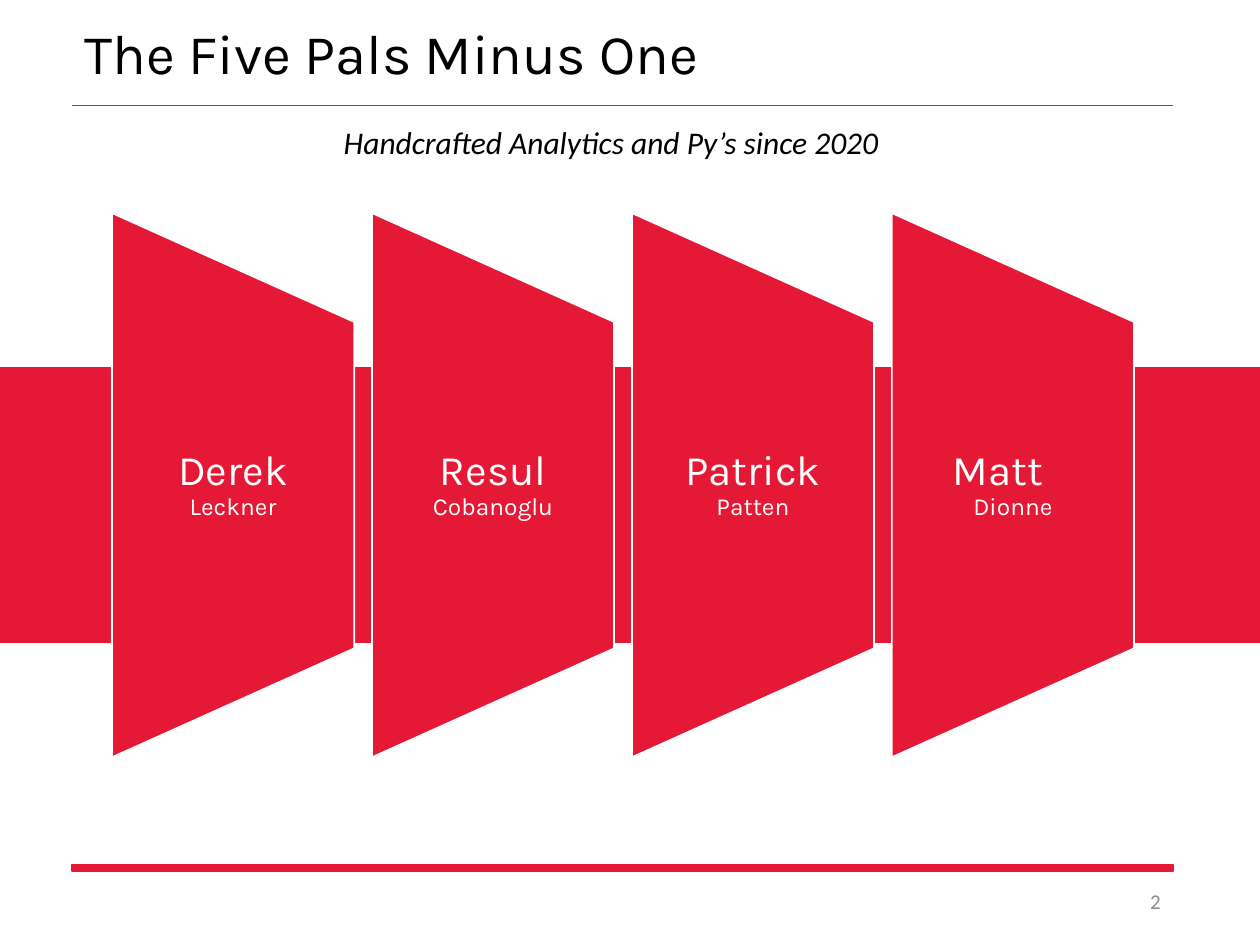
from dataclasses import dataclass
from typing import Optional

from lxml.etree import SubElement
from pptx import Presentation
from pptx.dml.color import RGBColor
from pptx.enum.shapes import MSO_CONNECTOR, MSO_SHAPE
from pptx.enum.text import MSO_ANCHOR as Anchor, MSO_AUTO_SIZE as AutoSize, PP_ALIGN as Align
from pptx.oxml.ns import qn
from pptx.util import Cm, Pt


@dataclass(frozen=True)
class Theme:
    red: RGBColor = RGBColor(0xE5, 0x18, 0x36)
    white: RGBColor = RGBColor(0xFF, 0xFF, 0xFF)
    black: RGBColor = RGBColor(0x00, 0x00, 0x00)
    grey: RGBColor = RGBColor(0x8C, 0x8C, 0x8C)
    heading_font: str = "Karla"
    body_font: str = "Calibri"
    title_size: int = 32
    first_name_size: int = 24
    tagline_size: int = 18
    last_name_size: int = 14
    number_size: int = 12


@dataclass(frozen=True)
class Box:
    """A rectangle in centimetres."""
    left: float
    top: float
    width: float
    height: float

    def lengths(self) -> tuple:
        return Cm(self.left), Cm(self.top), Cm(self.width), Cm(self.height)


@dataclass(frozen=True)
class Member:
    first_name: str
    last_name: str
    stagger: float = 0  # extra indent of the last name, in centimetres


THEME = Theme()
MEMBERS = [
    Member("Derek", "Leckner"),
    Member("Resul", "Cobanoglu"),
    Member("Patrick", "Patten"),
    Member("Matt", "Dionne", stagger=0.6),
]
PANEL_LEFT, PANEL_PITCH = 2.26, 5.24
PANEL_WIDTH, PANEL_HEIGHT = 4.88, 10.97
PANEL_MIDDLE = 9.78
NAME_HEIGHT, NAME_INSET = 6.58, 0.43
RULE_LEFT, RULE_RIGHT = 1.45, 23.65


def add_run(paragraph, text: str, size: int, color: RGBColor, font: str, italic: bool = False) -> None:
    run = paragraph.add_run()
    run.text = text
    run.font.size = Pt(size)
    run.font.color.rgb = color
    run.font.name = font
    run.font.italic = italic


def add_filled_shape(slide, kind, box: Box, line: Optional[RGBColor] = None):
    shape = slide.shapes.add_shape(kind, *box.lengths())
    shape.shadow.inherit = False
    shape.fill.solid()
    shape.fill.fore_color.rgb = THEME.red
    if line is None:
        shape.line.fill.background()
    else:
        shape.line.color.rgb = line
        shape.line.width = Pt(1)
    return shape


def add_text_box(slide, box: Box, wrap: bool = True):
    frame = slide.shapes.add_textbox(*box.lengths()).text_frame
    frame.word_wrap = wrap
    return frame


def add_title(slide, text: str) -> None:
    title = slide.shapes.title
    title.left, title.top, title.width, title.height = Box(1.45, 0.15, 21.9, 1.96).lengths()
    frame = title.text_frame
    frame.auto_size = AutoSize.NONE
    frame.vertical_anchor = Anchor.MIDDLE
    paragraph = frame.paragraphs[0]
    paragraph.alignment = Align.LEFT
    paragraph.line_spacing = 0.9
    add_run(paragraph, text, THEME.title_size, THEME.black, THEME.heading_font)


def add_rule(slide, height: float) -> None:
    rule = slide.shapes.add_connector(
        MSO_CONNECTOR.STRAIGHT, Cm(RULE_LEFT), Cm(height), Cm(RULE_RIGHT), Cm(height))
    rule.line.color.rgb = THEME.red
    rule.line.width = Pt(0.5)
    SubElement(rule._element.spPr, qn("a:effectLst"))


def add_member(slide, member: Member, left: float) -> None:
    """Draw a panel turned on its side, with the member's name over it."""
    center = left + PANEL_WIDTH / 2
    panel_box = Box(center - PANEL_HEIGHT / 2, PANEL_MIDDLE - PANEL_WIDTH / 2,
                    PANEL_HEIGHT, PANEL_WIDTH)
    panel = add_filled_shape(slide, MSO_SHAPE.FLOWCHART_MANUAL_OPERATION, panel_box, THEME.white)
    panel.rotation = 270

    frame = add_text_box(slide, Box(left, PANEL_MIDDLE - NAME_HEIGHT / 2, PANEL_WIDTH, NAME_HEIGHT))
    frame.vertical_anchor = Anchor.MIDDLE
    frame.margin_top = frame.margin_bottom = 0
    frame.margin_left = Cm(NAME_INSET)
    frame.margin_right = Cm(NAME_INSET + member.stagger)
    first, last = frame.paragraphs[0], frame.add_paragraph()
    for paragraph, text, size in ((first, member.first_name, THEME.first_name_size),
                                  (last, member.last_name, THEME.last_name_size)):
        paragraph.alignment = Align.CENTER
        paragraph.line_spacing = 0.9
        add_run(paragraph, text, size, THEME.white, THEME.heading_font)
    if member.stagger:
        last._p.get_or_add_pPr().set("marL", str(Cm(member.stagger)))


def add_tagline(slide, text: str) -> None:
    frame = add_text_box(slide, Box(6.68, 2.36, 11.43, 1.02), wrap=False)
    frame.auto_size = AutoSize.SHAPE_TO_FIT_TEXT
    add_run(frame.paragraphs[0], text, THEME.tagline_size, THEME.black, THEME.body_font, italic=True)


def add_slide_number(slide, number: str) -> None:
    frame = add_text_box(slide, Box(17.93, 17.65, 5.72, 1.02))
    frame.vertical_anchor = Anchor.MIDDLE
    paragraph = frame.paragraphs[0]
    paragraph.alignment = Align.RIGHT
    add_run(paragraph, number, THEME.number_size, THEME.grey, THEME.body_font)


def main() -> None:
    presentation = Presentation()
    presentation.slide_width, presentation.slide_height = Cm(25.4), Cm(19.05)
    slide = presentation.slides.add_slide(presentation.slide_layouts[5])

    add_filled_shape(slide, MSO_SHAPE.RECTANGLE, Box(0, 7.4, 25.4, 5.56))
    add_title(slide, "The Five Pals Minus One")
    for index, member in enumerate(MEMBERS):
        add_member(slide, member, PANEL_LEFT + index * PANEL_PITCH)
    add_filled_shape(slide, MSO_SHAPE.RECTANGLE,
                     Box(RULE_LEFT, 17.43, RULE_RIGHT - RULE_LEFT, 0.13), THEME.red)
    add_rule(slide, 2.13)
    add_slide_number(slide, "2")
    add_tagline(slide, "Handcrafted Analytics and Py’s since 2020")
    presentation.save("out.pptx")


if __name__ == "__main__":
    main()
